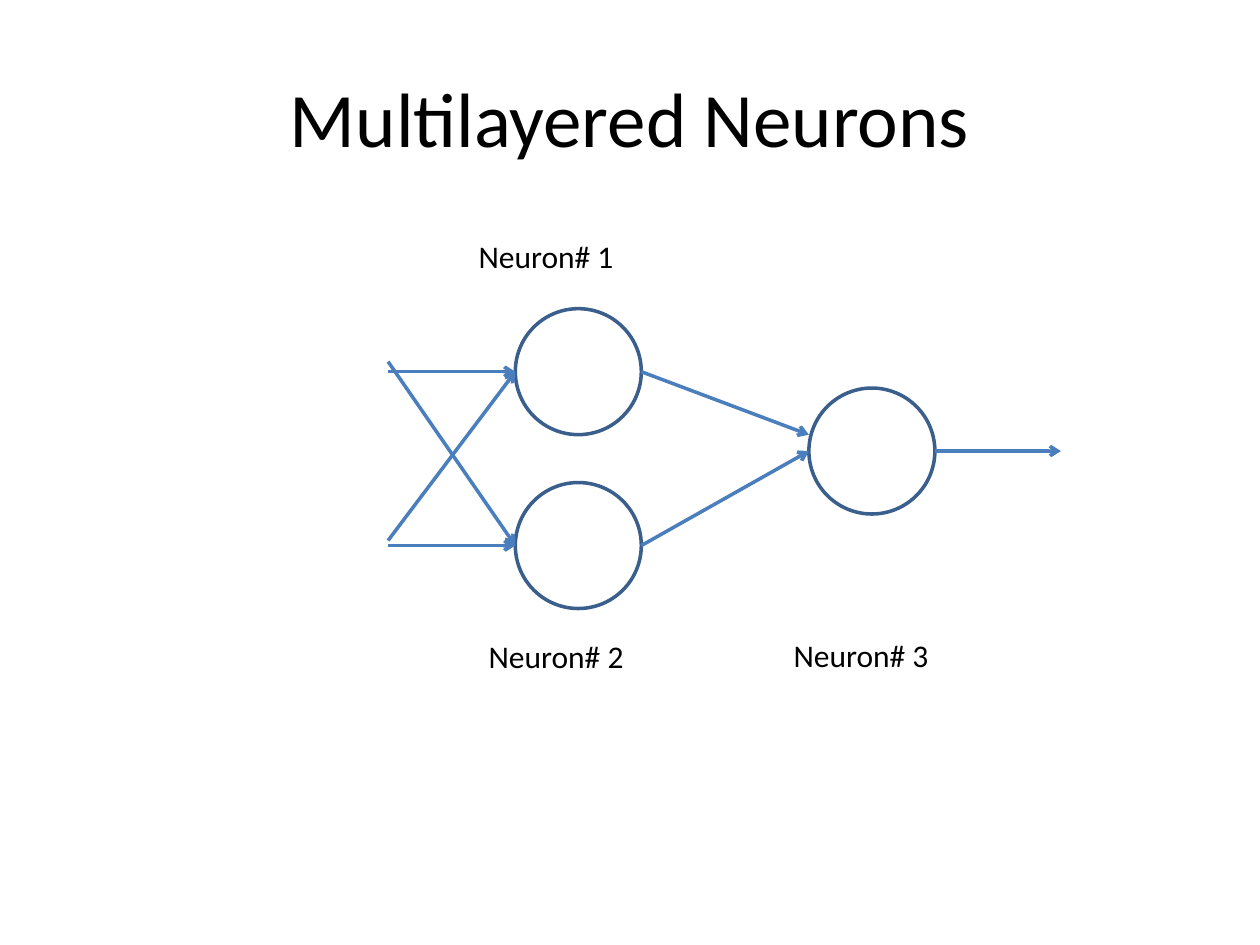
from lxml.etree import SubElement
from pptx import Presentation
from pptx.dml.color import RGBColor
from pptx.enum.shapes import MSO_CONNECTOR, MSO_SHAPE
from pptx.enum.text import MSO_ANCHOR, PP_ALIGN
from pptx.oxml.ns import qn
from pptx.util import Inches, Pt

COLORS = {"text": "000000", "neuron": "FFFFFF", "outline": "3A5F8C", "wire": "4B7EBC"}
FONT = "Calibri"
DIAMETER = 1
RADIUS = DIAMETER / 2
LINE_WIDTH = Pt(2)

# Offsets within the network: circle corner and label corner
NEURONS = {
    "Neuron# 1": ((1.01, 0.62), (0.62, 0)),
    "Neuron# 2": ((1.01, 2), (0.7, 3.18)),
    "Neuron# 3": ((3.34, 1.25), (3.12, 3.17)),
}


def color(name):
    return RGBColor.from_string(COLORS[name])


def add_text(slide, text, left, top, width, height, size=18,
             align=PP_ALIGN.LEFT, anchor=MSO_ANCHOR.TOP):
    frame = slide.shapes.add_textbox(
        Inches(left), Inches(top), Inches(width), Inches(height)).text_frame
    frame.word_wrap = True
    frame.vertical_anchor = anchor
    paragraph = frame.paragraphs[0]
    paragraph.alignment = align
    run = paragraph.add_run()
    run.text = text
    run.font.name = FONT
    run.font.size = Pt(size)
    run.font.color.rgb = color("text")


def add_neuron(slide, left, top):
    neuron = slide.shapes.add_shape(
        MSO_SHAPE.OVAL, Inches(left), Inches(top), Inches(DIAMETER), Inches(DIAMETER))
    neuron.shadow.inherit = False
    neuron.fill.solid()
    neuron.fill.fore_color.rgb = color("neuron")
    neuron.line.color.rgb = color("outline")
    neuron.line.width = LINE_WIDTH


def add_arrow(slide, start, end):
    arrow = slide.shapes.add_connector(
        MSO_CONNECTOR.STRAIGHT, *(Inches(value) for value in (*start, *end)))
    arrow.line.color.rgb = color("wire")
    arrow.line.width = LINE_WIDTH
    SubElement(arrow.line._get_or_add_ln(), qn("a:tailEnd"), type="arrow")
    SubElement(arrow._element.spPr, qn("a:effectLst"))


def add_title(slide, left, top, width, height):
    add_text(slide, "Multilayered Neurons", left, top, width, height, size=44,
             align=PP_ALIGN.CENTER, anchor=MSO_ANCHOR.MIDDLE)


def add_network(slide, left, top):
    """Draw two input neurons that feed a third, with labels."""
    entries, exits = [], []
    for label, ((x, y), (label_x, label_y)) in NEURONS.items():
        add_neuron(slide, left + x, top + y)
        add_text(slide, label, left + label_x, top + label_y, 1.89, 0.4)
        entries.append((x, y + RADIUS))
        exits.append((x + DIAMETER, y + RADIUS))

    first, second, third = entries
    first_out, second_out, third_out = exits
    wires = [
        ((0, first[1]), first),
        ((0, second[1]), second),
        ((0, 1.04), second),
        ((0, 2.46), first),
        (first_out, (third[0], 1.62)),
        (second_out, third),
        (third_out, (third_out[0] + 1, third_out[1])),
    ]
    for start, end in wires:
        add_arrow(slide, (left + start[0], top + start[1]),
                  (left + end[0], top + end[1]))


def main():
    deck = Presentation()
    deck.slide_width, deck.slide_height = Inches(10), Inches(7.5)
    slide = deck.slides.add_slide(deck.slide_layouts[6])
    add_title(slide, 0.5, 0.3, 9, 1.25)
    add_network(slide, 3.08, 1.83)
    deck.save("out.pptx")


if __name__ == "__main__":
    main()
